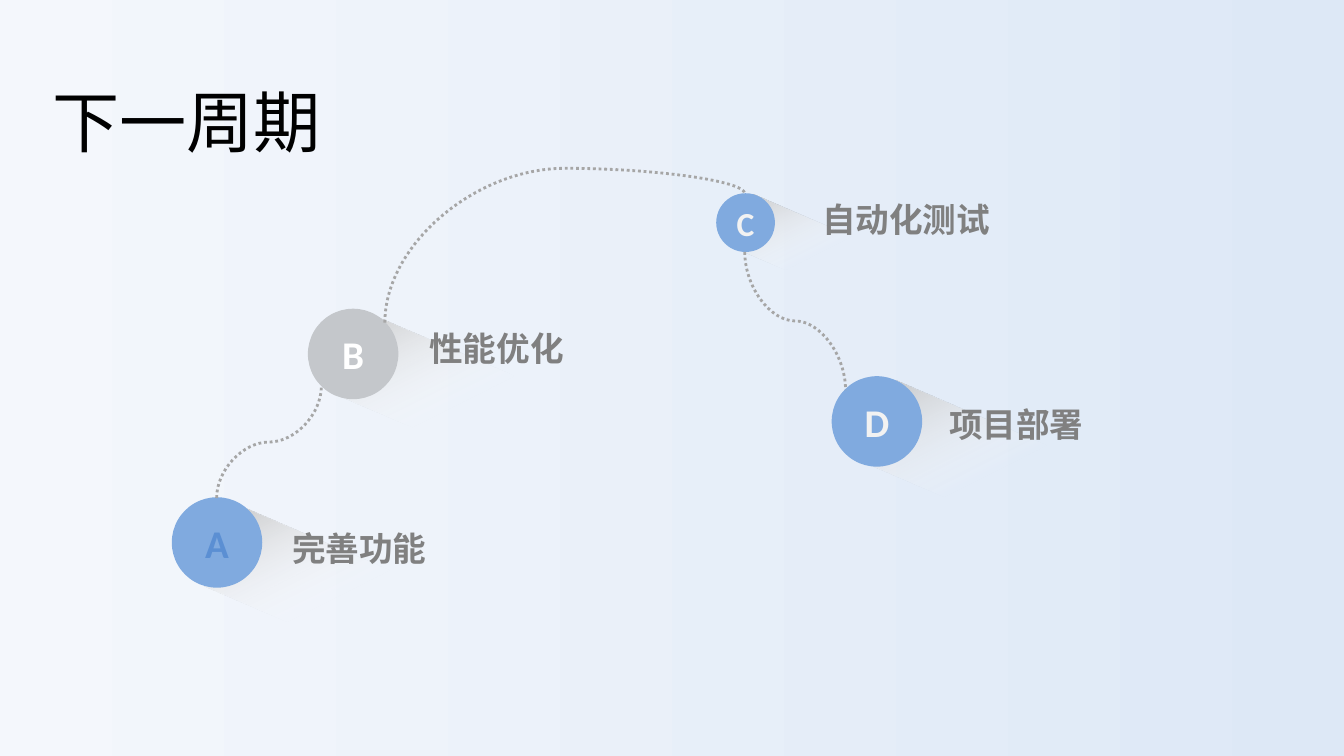
from lxml import etree
from pptx import Presentation
from pptx.dml.color import RGBColor
from pptx.enum.dml import MSO_LINE
from pptx.enum.shapes import MSO_CONNECTOR, MSO_SHAPE
from pptx.enum.text import MSO_ANCHOR, MSO_AUTO_SIZE, PP_ALIGN
from pptx.oxml.ns import qn
from pptx.util import Cm, Pt

FONT = "Calibri"
BLACK = RGBColor(0x00, 0x00, 0x00)
WHITE = RGBColor(0xFF, 0xFF, 0xFF)
OFF_WHITE = RGBColor(0xF2, 0xF2, 0xF2)
BLUE = RGBColor(0x80, 0xAA, 0xDF)
DEEP_BLUE = RGBColor(0x5B, 0x8F, 0xD3)
SILVER = RGBColor(0xC4, 0xC7, 0xCB)
LABEL_GREY = RGBColor(0x80, 0x80, 0x80)
LINE_GREY = RGBColor(0xA6, 0xA6, 0xA6)
SHADE_GREY = RGBColor(0xBF, 0xBF, 0xBF)
PALE = RGBColor(0xF4, 0xF7, 0xFC)
PALE_BLUE = RGBColor(0xDD, 0xE8, 0xF6)

WIDTH, HEIGHT = 33.87, 19.05

# letter, centre x, centre y, diameter, fill, letter colour, letter size
CIRCLES = [
    ("C", 18.79, 5.61, 1.48, BLUE, OFF_WHITE, 24),
    ("D", 22.1, 10.62, 2.28, BLUE, OFF_WHITE, 28),
    ("B", 8.9, 8.92, 2.28, SILVER, WHITE, 28),
    ("A", 5.47, 13.67, 2.28, BLUE, DEEP_BLUE, 28),
]
# left, top, width, height
SHADES = [
    (21.92, 10.64, 5.74, 2.21),
    (18.57, 5.59, 3.73, 1.42),
    (8.51, 8.89, 5.74, 2.21),
    (5.36, 13.79, 5.74, 2.21),
]
# text, left, top
LABELS = [
    ("完善功能", 7.11, 13.18),
    ("性能优化", 10.57, 8.13),
    ("自动化测试", 20.47, 4.88),
    ("项目部署", 23.67, 10.06),
]
# start x, start y, end x, end y, bend position in percent
CURVES = [
    (5.46, 12.55, 8.1, 9.73, 50),
    (18.77, 6.35, 21.31, 9.83, 50),
    (9.7, 8.13, 18.77, 4.88, 119.6),
]


def format_text(tf, size, color, bold=False, align=PP_ALIGN.LEFT):
    p = tf.paragraphs[0]
    p.alignment = align
    for r in p.runs:
        r.font.name = FONT
        r.font.size = Pt(size)
        r.font.bold = bold
        r.font.color.rgb = color


def add_plain_shape(s, kind, left, top, width, height):
    sp = s.shapes.add_shape(kind, Cm(left), Cm(top), Cm(width), Cm(height))
    sp.shadow.inherit = False
    sp.line.fill.background()
    return sp


def add_gradient_rect(s, box, stops, angle):
    """Stops are (position, colour, opacity), both numbers in percent."""
    sp = add_plain_shape(s, MSO_SHAPE.RECTANGLE, *box)
    sp.fill.gradient()
    grad = sp._element.spPr.find(qn("a:gradFill"))
    for child in list(grad):
        grad.remove(child)
    gs_list = etree.SubElement(grad, qn("a:gsLst"))
    for position, color, opacity in stops:
        gs = etree.SubElement(gs_list, qn("a:gs"), pos=str(position * 1000))
        clr = etree.SubElement(gs, qn("a:srgbClr"), val=str(color))
        if opacity < 100:
            etree.SubElement(clr, qn("a:alpha"), val=str(opacity * 1000))
    etree.SubElement(grad, qn("a:lin"), ang=str(angle * 60000), scaled="0")
    return sp


def add_circle(s, letter, x, y, size, fill, color, font_size):
    sp = add_plain_shape(s, MSO_SHAPE.OVAL, x - size / 2, y - size / 2, size, size)
    sp.fill.solid()
    sp.fill.fore_color.rgb = fill
    tf = sp.text_frame
    tf.text = letter
    tf.vertical_anchor = MSO_ANCHOR.MIDDLE
    format_text(tf, font_size, color, True, PP_ALIGN.CENTER)


def add_label(s, text, left, top):
    width = 0.51 + 0.847 * len(text)
    tf = s.shapes.add_textbox(Cm(left), Cm(top), Cm(width), Cm(1.27)).text_frame
    tf.text = text
    tf.word_wrap = False
    tf.auto_size = MSO_AUTO_SIZE.SHAPE_TO_FIT_TEXT
    format_text(tf, 24, LABEL_GREY, True)


def add_curve(s, x1, y1, x2, y2, bend):
    """Dotted curve that leaves and arrives vertically: drawn sideways, then turned."""
    cx, cy = (x1 + x2) / 2, (y1 + y2) / 2
    dx, dy = (x2 - x1) / 2, (y2 - y1) / 2
    line = s.shapes.add_connector(MSO_CONNECTOR.CURVE, Cm(cx - dy), Cm(cy + dx),
                                  Cm(cx + dy), Cm(cy - dx))
    line.line.color.rgb = LINE_GREY
    line.line.width = Pt(2)
    line.line.dash_style = MSO_LINE.ROUND_DOT
    spPr = line._element.spPr
    spPr.find(qn("a:xfrm")).set("rot", str(90 * 60000))
    guides = spPr.find(qn("a:prstGeom")).find(qn("a:avLst"))
    etree.SubElement(guides, qn("a:gd"), name="adj1", fmla=f"val {round(bend * 1000)}")
    etree.SubElement(spPr, qn("a:effectLst"))


def add_title(s, text):
    title = s.shapes.title
    title.left, title.top, title.width, title.height = Cm(0.99), Cm(1.85), Cm(11.25), Cm(4.17)
    tf = title.text_frame
    tf.text = text
    tf.word_wrap = True
    tf.auto_size = MSO_AUTO_SIZE.NONE
    tf.vertical_anchor = MSO_ANCHOR.TOP
    tf.margin_left = tf.margin_right = Cm(0.33)
    tf.margin_top = tf.margin_bottom = Cm(0.18)
    format_text(tf, 48, BLACK)
    # Bring the title in front of the backdrop
    s.shapes._spTree.append(title._element)


def main():
    prs = Presentation()
    prs.slide_width, prs.slide_height = Cm(WIDTH), Cm(HEIGHT)
    s = prs.slides.add_slide(prs.slide_layouts[5])

    # Backdrop
    add_gradient_rect(s, (0, 0, WIDTH, HEIGHT), [(0, PALE, 100), (100, PALE_BLUE, 100)], 0)

    # Long shades cast by the circles
    for box in SHADES:
        shade = add_gradient_rect(s, box, [(0, SHADE_GREY, 100), (54, WHITE, 0)], 40)
        shade.rotation = 23.3

    # Milestones, their labels and the route between them
    for circle in CIRCLES:
        add_circle(s, *circle)
    for label in LABELS:
        add_label(s, *label)
    for curve in CURVES:
        add_curve(s, *curve)

    add_title(s, "下一周期")
    prs.save("out.pptx")


if __name__ == "__main__":
    main()
